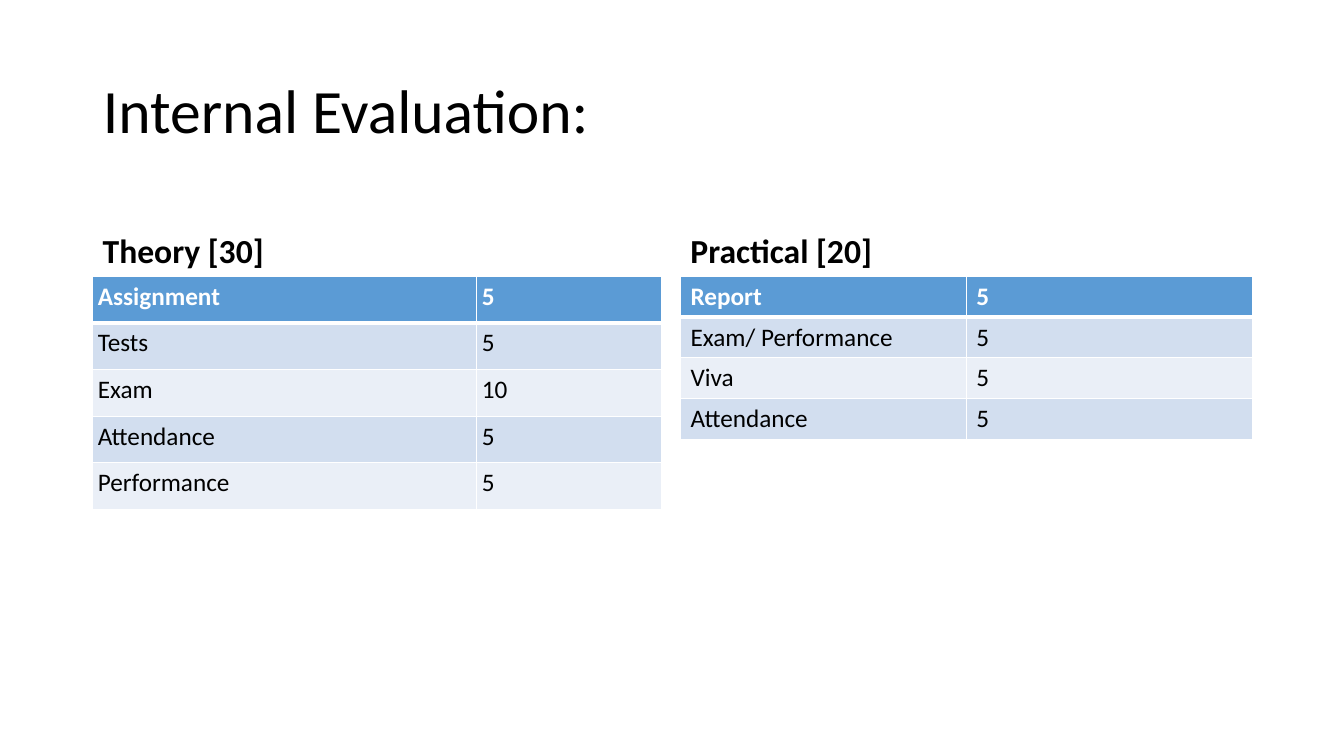
from dataclasses import dataclass

from lxml import etree
from pptx import Presentation
from pptx import util as u
from pptx.dml import color
from pptx.enum import text
from pptx.oxml import ns


@dataclass(frozen=True)
class Theme:
    font: str = "Calibri"
    ink: str = "000000"
    white: str = "FFFFFF"
    head: str = "5B9BD5"
    bands: tuple[str, str] = ("D2DEEF", "EAEFF7")
    title: int = 44
    label: int = 24
    body: int = 18
    thin: int = 1
    thick: int = 3


@dataclass(frozen=True)
class Panel:
    label: str
    left: float
    cols: tuple[float, float]
    row: float
    inset: float
    marks: tuple[tuple[str, int], ...]


THEME = Theme()
TOP = 2.74
LABEL = 0.9
PANELS = (
    Panel("Theory [30]", 0.92, (3.81, 1.83), 0.463, 0.05,
          (("Assignment", 5), ("Tests", 5), ("Exam", 10),
           ("Attendance", 5), ("Performance", 5))),
    Panel("Practical [20]", 6.75, (2.835, 2.835), 0.405, 0.1,
          (("Report", 5), ("Exam/ Performance", 5), ("Viva", 5),
           ("Attendance", 5))),
)


def write(frame, words: str, size: int, ink: str, bold: bool = False):
    para = frame.paragraphs[0]
    para.alignment = text.PP_ALIGN.LEFT
    run = para.add_run()
    run.text = words
    font = run.font
    font.name = THEME.font
    font.size = u.Pt(size)
    font.bold = bold
    font.color.rgb = color.RGBColor.from_string(ink)
    return para


def edge(cell, side: str, width: int) -> None:
    props = cell._tc.get_or_add_tcPr()
    line = etree.SubElement(props, ns.qn(f"a:ln{side}"), w=str(u.Pt(width)))
    fill = etree.SubElement(line, ns.qn("a:solidFill"))
    etree.SubElement(fill, ns.qn("a:srgbClr"), val=THEME.white)


def style(cell, row: int, inset: float) -> None:
    cell.margin_left = cell.margin_right = u.Inches(inset)
    cell.margin_top = cell.margin_bottom = u.Inches(0.05)
    wide = {(0, "B"), (1, "T")}
    for side in "LRTB":
        edge(cell, side, THEME.thick if (row, side) in wide else THEME.thin)
    cell.fill.solid()
    shade = THEME.bands[(row - 1) % 2] if row else THEME.head
    cell.fill.fore_color.rgb = color.RGBColor.from_string(shade)


def draw(slide, panel: Panel) -> None:
    left, width = u.Inches(panel.left), u.Inches(sum(panel.cols))
    box = slide.shapes.add_textbox(
        left, u.Inches(TOP - LABEL), width, u.Inches(LABEL))
    frame = box.text_frame
    frame.word_wrap = True
    frame.vertical_anchor = text.MSO_ANCHOR.BOTTOM
    para = write(frame, panel.label, THEME.label, THEME.ink, True)
    para.line_spacing = 0.9
    para.space_before = u.Pt(10)

    count = len(panel.marks)
    grid = slide.shapes.add_table(
        count, len(panel.cols), left, u.Inches(TOP), width,
        u.Inches(panel.row * count)).table
    for col, size in zip(grid.columns, panel.cols):
        col.width = u.Inches(size)
    for r, mark in enumerate(panel.marks):
        grid.rows[r].height = u.Inches(panel.row)
        for c, value in enumerate(mark):
            cell = grid.cell(r, c)
            style(cell, r, panel.inset)
            ink = THEME.ink if r else THEME.white
            write(cell.text_frame, str(value), THEME.body, ink, r == 0)


def main() -> None:
    deck = Presentation()
    deck.slide_width, deck.slide_height = u.Inches(13.33), u.Inches(7.5)
    slide = deck.slides.add_slide(deck.slide_layouts[5])
    title = slide.shapes.title
    title.left, title.top = u.Inches(0.92), u.Inches(0.4)
    title.width, title.height = u.Inches(11.5), u.Inches(1.45)
    title.text_frame.vertical_anchor = text.MSO_ANCHOR.MIDDLE
    para = write(title.text_frame, "Internal Evaluation:",
                 THEME.title, THEME.ink)
    para.line_spacing = 0.9
    for panel in PANELS:
        draw(slide, panel)
    deck.save("out.pptx")


if __name__ == "__main__":
    main()
